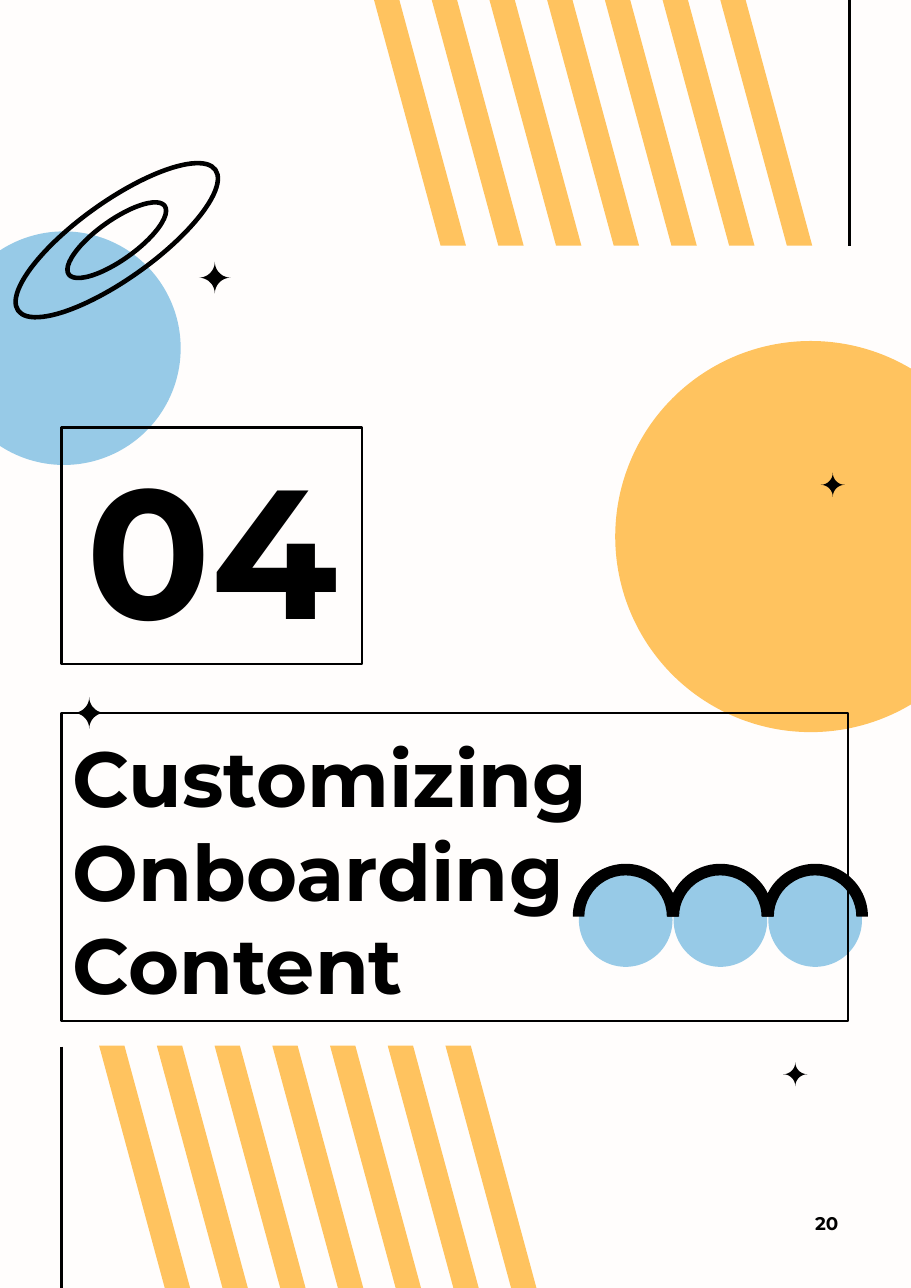
from math import cos, sin, radians
from lxml.etree import SubElement
from pptx import Presentation
from pptx.dml.color import RGBColor
from pptx.enum.shapes import MSO_CONNECTOR as CONN, MSO_SHAPE as SHAPE
from pptx.enum.text import MSO_ANCHOR as ANCHOR, PP_ALIGN as ALIGN
from pptx.oxml.ns import qn
from pptx.util import Inches, Pt

COLORS = {"paper": "FFFDFC", "ink": "000000", "amber": "FFC35F", "sky": "97CAE7"}
FONT = "Montserrat"
WIDTH, HEIGHT = 8.27, 11.69

STRIPE_BANDS = [(0.9, 9.49), (3.29, -0.39)]
STRIPE_COUNT, STRIPE_PITCH, STRIPE_WIDTH = 7, 0.524, 0.23
STRIPE_LEAN, STRIPE_HEIGHT = 0.71, 2.62
RULES = [(0.56, 9.5, HEIGHT), (7.71, 0, 2.23)]
DISCS = [(7.36, 4.87, 3.55, "amber"), (0.58, 3.16, 2.12, "sky")]
RING_CENTER, RING_TILT = (1.06, 2.18), -35.5
RINGS = [(2.2, 0.7), (1.07, 0.36)]
SPARKLES = [(1.95, 2.52, 0.29), (7.22, 9.75, 0.22), (7.56, 4.4, 0.22)]
TITLE_SPARKLE = (0.81, 6.47, 0.29)
SCALLOP_X, SCALLOP_PITCH, SCALLOP_COUNT = 5.68, 0.86, 3
SCALLOP_DISC, SCALLOP_ARCH = (8.35, 0.85), (8.32, 0.96)
TEXTS = [
    ("20", (7.03, 10.94, 0.68, 0.33), 12, ALIGN.RIGHT, ANCHOR.MIDDLE, False),
    ("Customizing Onboarding Content", (0.56, 6.47, 7.14, 2.8), 51, ALIGN.LEFT, ANCHOR.BOTTOM, True),
    ("04", (0.56, 3.88, 2.73, 2.15), 120, ALIGN.CENTER, ANCHOR.MIDDLE, True),
]

prs = Presentation()
prs.slide_width, prs.slide_height = Inches(WIDTH), Inches(HEIGHT)
s = prs.slides.add_slide(prs.slide_layouts[6])


def rgb(name):
    return RGBColor.from_string(COLORS[name])


s.background.fill.solid()
s.background.fill.fore_color.rgb = rgb("paper")


def paint(sp, fill=None, line=None):
    sp.shadow.inherit = False
    if fill:
        sp.fill.solid()
        sp.fill.fore_color.rgb = rgb(fill)
    else:
        sp.fill.background()
    if line:
        sp.line.color.rgb = rgb("ink")
        sp.line.width = Pt(line)
    else:
        sp.line.fill.background()


def polygon(points, fill):
    pts = [(Inches(x), Inches(y)) for x, y in points]
    builder = s.shapes.build_freeform(*pts[0], scale=1.0)
    builder.add_line_segments(pts[1:], close=True)
    paint(builder.convert_to_shape(), fill)


def centered(kind, cx, cy, w, h, fill=None, line=None):
    sp = s.shapes.add_shape(kind, Inches(cx - w / 2), Inches(cy - h / 2), Inches(w), Inches(h))
    paint(sp, fill, line)
    return sp


def sparkle(cx, cy, size):
    points = []
    for turn in range(4):
        for angle in range(0, 90, 6):
            x, y = 1 - cos(radians(angle)), sin(radians(angle)) - 1
            for _ in range(turn):
                x, y = -y, x
            points.append((cx + x * size / 2, cy + y * size / 2))
    polygon(points, "ink")


def add_text(text, box, size, align, anchor, framed):
    sp = s.shapes.add_textbox(*map(Inches, box))
    if framed:
        sp.line.color.rgb = rgb("ink")
        sp.line.width = Pt(1.5)
    tf = sp.text_frame
    tf.word_wrap = True
    tf.vertical_anchor = anchor
    tf.margin_left = tf.margin_right = tf.margin_top = tf.margin_bottom = Inches(0.1)
    p = tf.paragraphs[0]
    p.alignment = align
    r = p.add_run()
    r.text = text
    r.font.name, r.font.size, r.font.bold = FONT, Pt(size), True
    r.font.color.rgb = rgb("ink")


for left, top in STRIPE_BANDS:
    for i in range(STRIPE_COUNT):
        x = left + i * STRIPE_PITCH
        low = x + STRIPE_LEAN
        bottom = top + STRIPE_HEIGHT
        polygon([(x, top), (x + STRIPE_WIDTH, top), (low + STRIPE_WIDTH, bottom), (low, bottom)], "amber")

for x, top, bottom in RULES:
    rule = s.shapes.add_connector(CONN.STRAIGHT, Inches(x), Inches(top), Inches(x), Inches(bottom))
    rule.line.color.rgb = rgb("ink")
    rule.line.width = Pt(2.25)
    SubElement(rule._element.spPr, qn("a:effectLst"))

for cx, cy, size, fill in DISCS:
    centered(SHAPE.OVAL, cx, cy, size, size, fill)

for w, h in RINGS:
    centered(SHAPE.OVAL, *RING_CENTER, w, h, line=3).rotation = RING_TILT

scallop_xs = [SCALLOP_X + i * SCALLOP_PITCH for i in range(SCALLOP_COUNT)]
for cx in scallop_xs:
    cy, size = SCALLOP_DISC
    centered(SHAPE.OVAL, cx, cy, size, size, "sky")
for cx in scallop_xs:
    cy, size = SCALLOP_ARCH
    centered(SHAPE.BLOCK_ARC, cx, cy, size, size, "ink").adjustments[2] = 0.11

for spot in SPARKLES:
    sparkle(*spot)
for item in TEXTS:
    add_text(*item)
sparkle(*TITLE_SPARKLE)

prs.save("out.pptx")
